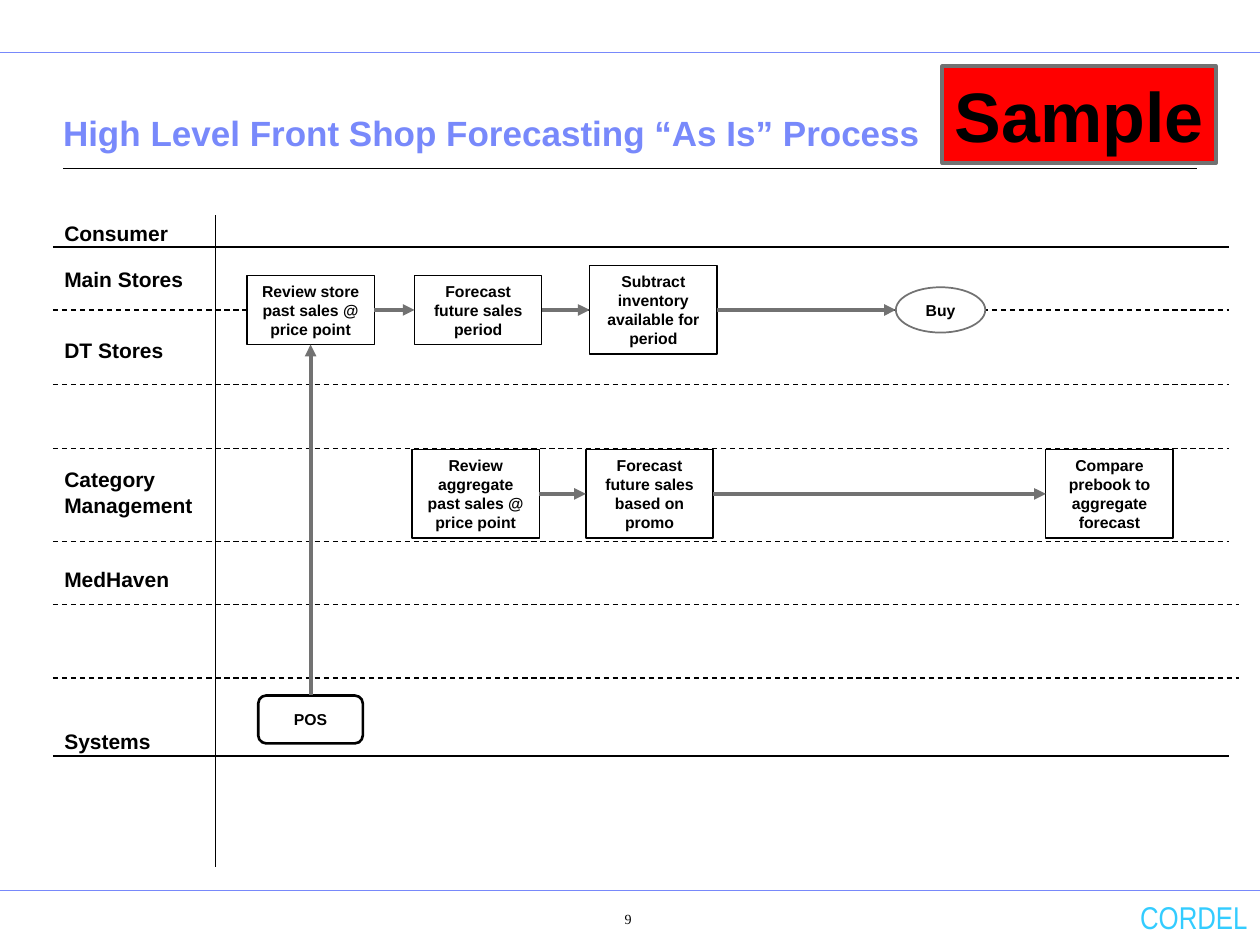
from dataclasses import dataclass

from lxml import etree
from pptx import Presentation
from pptx import util as u
from pptx.dml.color import RGBColor
from pptx.enum import dml, shapes, text
from pptx.oxml import ns

Inches = u.Inches


@dataclass(frozen=True)
class Theme:
    ink: str = "000000"
    paper: str = "FFFFFF"
    accent: str = "7889FB"
    grey: str = "727272"
    stamp: str = "FF0000"
    brand: str = "33CCFF"
    font: str = "Arial"
    head: int = 20
    label: int = 12
    step: int = 9
    big: int = 40
    foot: int = 18
    page: int = 8


theme = Theme()
LEFT, MID = text.PP_ALIGN.LEFT, text.PP_ALIGN.CENTER


def write(shape, words, size, color=theme.ink, align=MID, bold=True,
          font=theme.font, wrap=True, inset=0.1):
    """Put formatted text in a shape, centred from top to bottom."""
    frame = shape.text_frame
    frame.text = words
    frame.word_wrap = wrap
    frame.vertical_anchor = text.MSO_ANCHOR.MIDDLE
    frame.margin_left = frame.margin_right = Inches(inset)
    frame.margin_top = frame.margin_bottom = Inches(0.05)
    for para in frame.paragraphs:
        para.alignment = align
        for run in para.runs:
            run.font.name = font
            run.font.size = u.Pt(size)
            run.font.bold = bold
            run.font.color.rgb = RGBColor.from_string(color)


def rule(x1, y1, x2, y2, color=theme.ink, width=0.75):
    line = slide.shapes.add_connector(
        shapes.MSO_CONNECTOR.STRAIGHT,
        Inches(x1), Inches(y1), Inches(x2), Inches(y2))
    line.line.color.rgb = RGBColor.from_string(color)
    line.line.width = u.Pt(width)
    etree.SubElement(line._element.spPr, ns.qn("a:effectLst"))
    return line


deck = Presentation()
deck.slide_width, deck.slide_height = Inches(10), Inches(7.5)
slide = deck.slides.add_slide(deck.slide_layouts[5])

# Page frame and title
for y in (0.42, 7.07):
    rule(0, y, 10, y, theme.accent, 0.5)
rule(0.5, 1.34, 9.5, 1.34)

title = slide.shapes.title
title.left, title.top = Inches(0.5), Inches(0.64)
title.width, title.height = Inches(9), Inches(0.63)
write(title, "High Level Front Shop Forecasting “As Is” Process",
      theme.head, theme.accent, LEFT, inset=0)
title.text_frame.vertical_anchor = text.MSO_ANCHOR.BOTTOM

# Swim lanes
rule(1.71, 1.71, 1.71, 6.88)
for y in (1.96, 6):
    rule(0.42, y, 9.75, y)
for y, right in ((2.46, 9.75), (3.05, 9.75), (3.56, 9.75),
                 (4.3, 9.75), (4.8, 9.83), (5.38, 9.83)):
    lane = rule(0.42, y, right, y)
    lane.line.dash_style = dml.MSO_LINE.DASH

labels = (
    ("Consumer", 1.7, 0.3),
    ("Main Stores", 2.07, 0.29),
    ("DT Stores", 2.63, 0.29),
    ("Category\nManagement", 3.66, 0.49),
    ("MedHaven", 4.45, 0.29),
    ("Systems", 5.73, 0.3),
)
for words, top, high in labels:
    label = slide.shapes.add_textbox(
        Inches(0.42), Inches(top), Inches(1.25), Inches(high))
    write(label, words, theme.label, align=LEFT, inset=0.09)

# Steps: key, words, preset, left, middle, width, height, line, line width
kind = shapes.MSO_SHAPE
BOX = kind.FLOWCHART_PROCESS
STORE, CAT = 2.46, 3.92
steps = (
    ("review", "Review store past sales @ price point",
     BOX, 1.96, STORE, 1.01, 0.55, theme.ink, 0.75),
    ("period", "Forecast future sales period",
     BOX, 3.29, STORE, 1.01, 0.55, theme.ink, 0.75),
    ("stock", "Subtract inventory available for period",
     BOX, 4.68, STORE, 1.01, 0.7, theme.ink, 0.75),
    ("buy", "Buy",
     kind.OVAL, 7.11, STORE, 0.71, 0.36, theme.grey, 1),
    ("total", "Review aggregate past sales @ price point",
     BOX, 3.27, CAT, 1.01, 0.7, theme.ink, 0.75),
    ("promo", "Forecast future sales based on promo",
     BOX, 4.65, CAT, 1.01, 0.7, theme.ink, 0.75),
    ("compare", "Compare prebook to aggregate forecast",
     BOX, 8.3, CAT, 1.01, 0.7, theme.ink, 0.75),
    ("pos", "POS", kind.FLOWCHART_ALTERNATE_PROCESS,
     2.05, 5.71, 0.83, 0.38, theme.ink, 1.5),
    ("sample", "Sample",
     kind.RECTANGLE, 7.48, 0.91, 2.17, 0.77, theme.grey, 2.25),
)
nodes = {}
for key, words, form, left, mid, wide, high, color, width in steps:
    node = slide.shapes.add_shape(
        form, Inches(left), Inches(mid - high / 2), Inches(wide), Inches(high))
    stamp = key == "sample"
    node.shadow.inherit = False
    node.fill.solid()
    node.fill.fore_color.rgb = RGBColor.from_string(
        theme.stamp if stamp else theme.paper)
    node.line.color.rgb = RGBColor.from_string(color)
    node.line.width = u.Pt(width)
    write(node, words, theme.big if stamp else theme.step, wrap=not stamp)
    nodes[key] = node

# Flow arrows: from, side, to, side
TOP, WEST, SOUTH, EAST = range(4)
flows = (
    ("pos", TOP, "review", SOUTH),
    ("review", EAST, "period", WEST),
    ("period", EAST, "stock", WEST),
    ("stock", EAST, "buy", None),
    ("total", EAST, "promo", WEST),
    ("promo", EAST, "compare", WEST),
)
for start, out, end, into in flows:
    # The oval numbers its joints differently, so its arrow ends free
    arrow = rule(5.69, STORE, 7.11, STORE, theme.grey, 2.25)
    arrow.begin_connect(nodes[start], out)
    if into is not None:
        arrow.end_connect(nodes[end], into)
    etree.SubElement(arrow.line._get_or_add_ln(), ns.qn("a:tailEnd"),
                     type="triangle")

# Footer
brand = slide.shapes.add_textbox(
    Inches(8.85), Inches(7.11), Inches(1.15), Inches(0.33))
write(brand, "CORDEL", theme.foot, theme.brand, text.PP_ALIGN.RIGHT,
      bold=False, font="Arial Narrow")
page = slide.shapes.add_textbox(
    Inches(4.41), Inches(7.14), Inches(1.15), Inches(0.3))
write(page, "9", theme.page, bold=False, font="Times New Roman")

deck.save("out.pptx")
